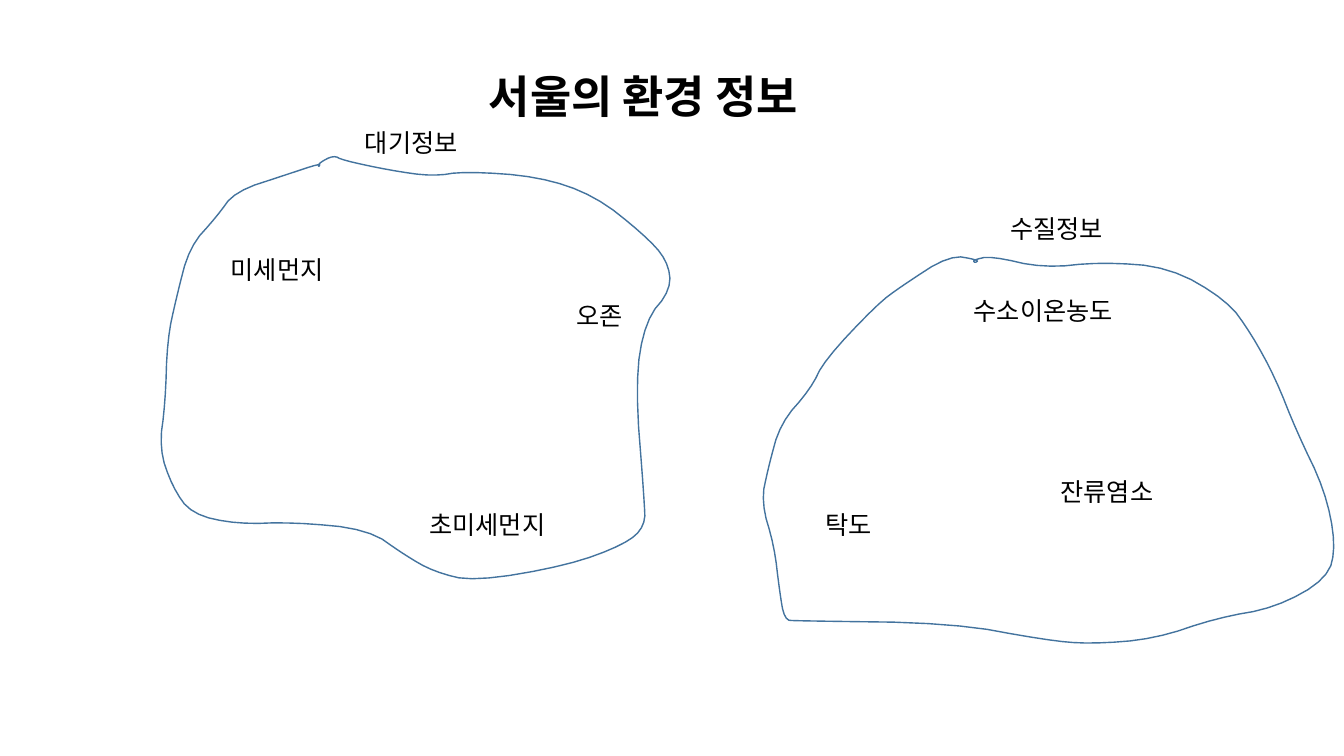
from pptx import Presentation
from pptx.util import Inches, Pt
from pptx.dml.color import RGBColor
from pptx.enum.text import MSO_AUTO_SIZE as Auto
from pptx.oxml.ns import qn
from lxml.etree import SubElement as Sub

FONT = "Noto Sans CJK KR"
INK, BLUE = "000000", "43739E"
LINE = 0.4     # height of a one-line label
ROUNDS = 2     # how often the corners of an outline are cut


def color(text):
    return RGBColor.from_string(text)


def label(text, x, y, wide, high=LINE, size=18, bold=False, wrap=False):
    box = slide.shapes.add_textbox(Inches(x), Inches(y), Inches(wide), Inches(high))
    frame = box.text_frame
    frame.word_wrap = wrap
    frame.auto_size = Auto.SHAPE_TO_FIT_TEXT
    run = frame.paragraphs[0].add_run()
    run.text = text
    font = run.font
    font.name, font.size, font.bold = FONT, Pt(size), bold
    font.color.rgb = color(INK)
    Sub(font._element, qn("a:ea")).set("typeface", FONT)


deck = Presentation()
deck.slide_width, deck.slide_height = Inches(13.33), Inches(7.5)
slide = deck.slides.add_slide(deck.slide_layouts[6])

# Title
label("서울의 환경 정보", 4.75, 0.63, 3.83, LINE * 1.6, size=32, bold=True, wrap=True)

# Each region: its labels, and the corners of its outline, anticlockwise by side
air = {
    "labels": [("대기정보", 3.52, 1.21, 1.21), ("미세먼지", 2.19, 2.47, 1.21),
               ("초미세먼지", 4.16, 5, 1.46), ("오존", 5.62, 2.93, 0.71)],
    "left": [(3.18, 1.62), (2.85, 1.73), (2.33, 1.9), (2.15, 2.15),
             (1.88, 2.45), (1.75, 2.95), (1.66, 3.37), (1.64, 4),
             (1.58, 4.45), (1.71, 4.83), (1.9, 5.1)],
    "bottom": [(2.35, 5.2), (2.91, 5.18), (3.65, 5.25), (4.02, 5.51),
               (4.3, 5.67), (4.7, 5.77), (5.63, 5.61), (6.2, 5.4)],
    "right": [(6.4, 5.22), (6.39, 4.95), (6.3, 3.8), (6.4, 3.18),
              (6.66, 2.87), (6.62, 2.58), (6.38, 2.32)],
    "top": [(5.9, 1.94), (5.34, 1.75), (4.61, 1.7), (4.29, 1.75),
            (3.87, 1.69), (3.4, 1.59), (3.31, 1.54), (3.16, 1.62),
            (3.16, 1.66)],
}
water = {
    "labels": [("수질정보", 9.92, 2.07, 1.21), ("수소이온농도", 9.56, 2.88, 1.72),
               ("탁도", 8.09, 5, 0.71), ("잔류염소", 10.42, 4.68, 1.21)],
    "left": [(9.71, 2.58), (9.42, 2.53), (8.94, 2.84), (8.7, 3.02),
             (8.18, 3.57), (8.04, 3.86), (7.74, 4.2), (7.62, 4.64),
             (7.55, 4.98), (7.68, 5.42), (7.73, 5.85), (7.78, 6.15)],
    "bottom": [(7.9, 6.16), (9.44, 6.18), (10.37, 6.35), (10.81, 6.39),
               (11.45, 6.34), (12.07, 6.13), (12.65, 6.03)],
    "right": [(13.17, 5.74), (13.25, 5.4), (13.14, 4.86), (12.86, 4.28),
              (12.65, 3.75), (12.41, 3.31), (12.17, 2.98)],
    "top": [(11.6, 2.65), (10.92, 2.6), (10.35, 2.66), (9.83, 2.54),
            (9.65, 2.58), (9.67, 2.61)],
}

for region in (air, water):
    # Round the outline: swap each edge for the middle half of it
    dots = [dot for side in ("left", "bottom", "right", "top") for dot in region[side]]
    for _ in range(ROUNDS):
        ends = dots[1:] + dots[:1]
        dots = [(x + (nx - x) * part, y + (ny - y) * part)
                for (x, y), (nx, ny) in zip(dots, ends)
                for part in (0.25, 0.75)]

    dots = [(Inches(x), Inches(y)) for x, y in dots]
    pen = slide.shapes.build_freeform(*dots[0])
    pen.add_line_segments(dots[1:], close=True)
    shape = pen.convert_to_shape()
    shape.shadow.inherit = False
    shape.fill.background()
    shape.line.color.rgb = color(BLUE)
    shape.line.width = Pt(1)

    # Name of the region and the readings inside it
    for text, x, y, wide in region["labels"]:
        label(text, x, y, wide)

deck.save("out.pptx")
